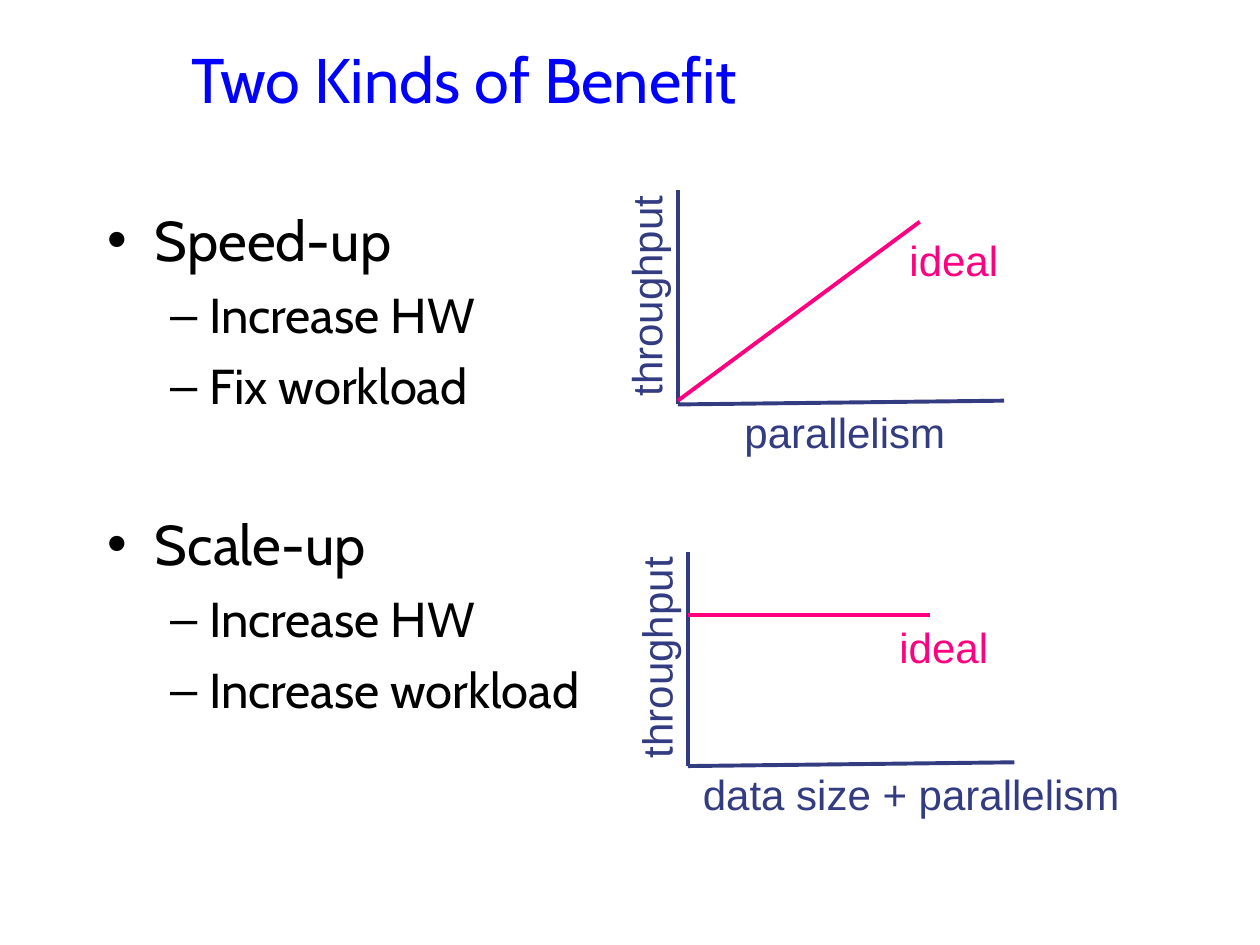
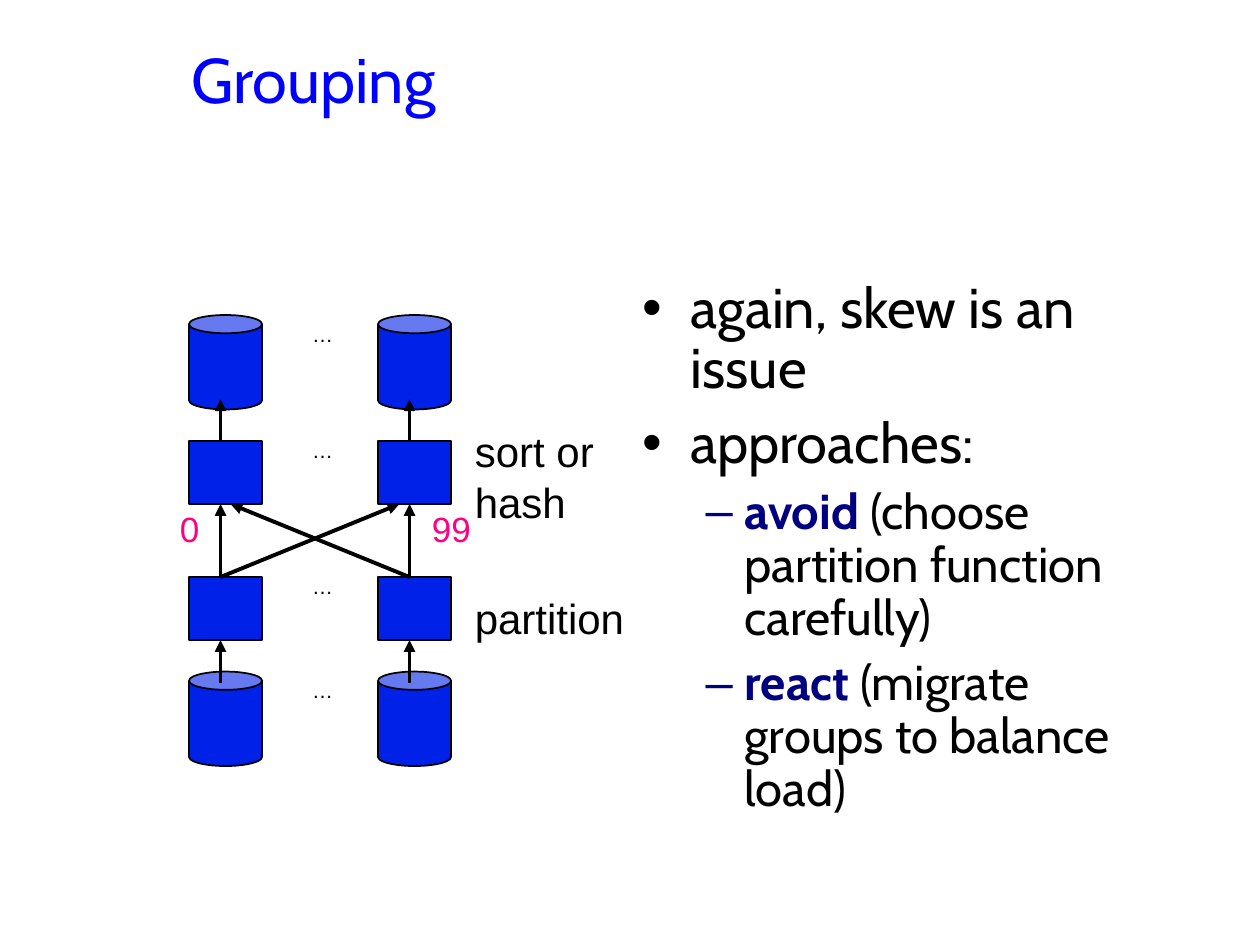
from dataclasses import dataclass
from itertools import product
from typing import NamedTuple

from lxml import etree
from pptx import Presentation
from pptx.dml.color import RGBColor
from pptx.enum.shapes import MSO_CONNECTOR, MSO_SHAPE
from pptx.enum.text import MSO_ANCHOR, MSO_AUTO_SIZE, PP_ALIGN
from pptx.oxml.ns import qn
from pptx.util import Inches, Pt

STRAIGHT = MSO_CONNECTOR.STRAIGHT
CAN, RECTANGLE = MSO_SHAPE.CAN, MSO_SHAPE.RECTANGLE
MIDDLE, TOP = MSO_ANCHOR.MIDDLE, MSO_ANCHOR.TOP
NO_FIT = MSO_AUTO_SIZE.NONE
LEFT = PP_ALIGN.LEFT


@dataclass(frozen=True)
class Theme:
    heading_font: str = "Cabin"
    label_font: str = "Arial"
    title: str = "0000FF"
    ink: str = "000000"
    emphasis: str = "000080"
    axis: str = "333C80"
    ideal: str = "FF0080"
    node: str = "0021E8"
    title_size: int = 36
    level_sizes: tuple[int, int] = (32, 28)
    label_size: int = 24
    key_size: int = 20
    dots_size: int = 12
    line_width: float = 2.25
    outline_width: float = 1


THEME = Theme()


class Point(NamedTuple):
    x: float
    y: float

    def shift(self, dx: float, dy: float) -> "Point":
        return Point(self.x + dx, self.y + dy)


class Box(NamedTuple):
    left: float
    top: float
    width: float
    height: float


class Bullet(NamedTuple):
    text: str
    level: int = 0
    lead: str = ""
    before: float | None = None


class LevelStyle(NamedTuple):
    mark: str
    margin: float
    hanging: float
    before: float


@dataclass(frozen=True)
class Graph:
    origin: Point
    x_label: str
    x_label_dx: float
    x_label_width: float
    ideal_start_dy: float
    ideal_end_dy: float
    ideal_label_offset: Point


class NodeRow(NamedTuple):
    kind: int
    top: float
    height: float
    dots_top: float


LEVELS = (LevelStyle("•", 0.38, 0.38, 8), LevelStyle("–", 0.81, 0.31, 7))
TITLE_BOX = Box(1.42, 0, 7.83, 1.25)

BENEFITS = (
    Bullet("Speed-up"),
    Bullet("Increase HW", 1),
    Bullet("Fix workload", 1),
    Bullet("Scale-up", before=54),
    Bullet("Increase HW", 1),
    Bullet("Increase workload", 1),
)
SKEW = (
    Bullet("again, skew is an issue"),
    Bullet("approaches:"),
    Bullet(" (choose partition function carefully)", 1, "avoid"),
    Bullet(" (migrate groups to balance load)", 1, "react"),
)
GRAPHS = (
    Graph(Point(5.38, 3.21), "parallelism", 0.43, 1.79, -0.03, -1.45, Point(1.74, -1.4)),
    Graph(Point(5.46, 6.08), "data size + parallelism", 0.02, 3.5, -1.2, -1.2, Point(1.58, -1.2)),
)

LANES = (1.5, 3)
LANE_WIDTH = 0.58
ARROW_INSET = 0.25
NODE_ROWS = (
    NodeRow(CAN, 5.33, 0.75, 5.33),
    NodeRow(RECTANGLE, 4.58, 0.5, 4.5),
    NodeRow(RECTANGLE, 3.5, 0.5, 3.42),
    NodeRow(CAN, 2.5, 0.75, 2.5),
)
UPWARD_STEPS = ((5.42, 5.08), (4.58, 4), (3.5, 3.17))
CROSSING_GAP = 0.08


def colour(value: str) -> RGBColor:
    return RGBColor.from_string(value)


def inches(box: Box) -> list[int]:
    return [Inches(length) for length in box]


def apply_format(target, values: dict) -> None:
    for attribute, value in values.items():
        setattr(target, attribute, value)


def add_run(paragraph, text: str, font: str, size: int, ink: str, bold: bool = False) -> None:
    run = paragraph.add_run()
    run.text = text
    apply_format(run.font, {"name": font, "size": Pt(size), "bold": bold})
    run.font.color.rgb = colour(ink)


def place(placeholder, box: Box, anchor) -> None:
    position = dict(zip(("left", "top", "width", "height"), inches(box)))
    apply_format(placeholder, position)
    apply_format(
        placeholder.text_frame,
        {"word_wrap": True, "auto_size": NO_FIT, "vertical_anchor": anchor},
    )


def set_bullet(paragraph, style: LevelStyle, ink: str) -> None:
    properties = paragraph._p.get_or_add_pPr()
    properties.set("marL", str(Inches(style.margin)))
    properties.set("indent", str(-Inches(style.hanging)))
    mark_colour = etree.SubElement(properties, qn("a:buClr"))
    etree.SubElement(mark_colour, qn("a:srgbClr"), val=ink)
    etree.SubElement(properties, qn("a:buFont"), typeface=THEME.label_font)
    etree.SubElement(properties, qn("a:buChar"), char=style.mark)


def fill_list(body, bullets: tuple[Bullet, ...], spacing: float) -> None:
    frame = body.text_frame
    for index, bullet in enumerate(bullets):
        paragraph = frame.add_paragraph() if index else frame.paragraphs[0]
        style = LEVELS[bullet.level]
        set_bullet(paragraph, style, THEME.emphasis if bullet.lead else THEME.ink)
        before = style.before if bullet.before is None else bullet.before
        apply_format(
            paragraph,
            {
                "level": bullet.level,
                "alignment": LEFT,
                "line_spacing": spacing,
                "space_before": Pt(before if index else 0),
                "space_after": Pt(0),
            },
        )
        size = THEME.level_sizes[bullet.level]
        if bullet.lead:
            add_run(paragraph, bullet.lead, THEME.heading_font, size, THEME.emphasis, True)
        add_run(paragraph, bullet.text, THEME.heading_font, size, THEME.ink)


def add_content_slide(
    deck, title: str, body_box: Box, bullets: tuple[Bullet, ...], spacing: float = 1.0
):
    slide = deck.slides.add_slide(deck.slide_layouts[1])
    heading, body = slide.placeholders
    place(heading, TITLE_BOX, MIDDLE)
    title_line = heading.text_frame.paragraphs[0]
    title_line.alignment = LEFT
    add_run(title_line, title, THEME.heading_font, THEME.title_size, THEME.title)
    place(body, body_box, TOP)
    fill_list(body, bullets, spacing)
    return slide


def add_label(shapes, text: str, box: Box, size: int, ink: str, rotation: float = 0) -> None:
    label = shapes.add_textbox(*inches(box))
    label.rotation = rotation
    apply_format(label.text_frame, {"word_wrap": True, "margin_right": Inches(0)})
    add_run(label.text_frame.paragraphs[0], text, THEME.label_font, size, ink)


def add_line(shapes, start: Point, end: Point, ink: str, arrow: bool = False) -> None:
    line = shapes.add_connector(STRAIGHT, *map(Inches, (*start, *end)))
    line.line.color.rgb = colour(ink)
    line.line.width = Pt(THEME.line_width)
    if arrow:
        etree.SubElement(line.line._get_or_add_ln(), qn("a:tailEnd"), type="triangle")
    etree.SubElement(line._element.spPr, qn("a:effectLst"))


def add_node(shapes, kind: int, box: Box) -> None:
    node = shapes.add_shape(kind, *inches(box))
    node.shadow.inherit = False
    node.fill.solid()
    node.fill.fore_color.rgb = colour(THEME.node)
    node.line.color.rgb = colour(THEME.ink)
    node.line.width = Pt(THEME.outline_width)


def draw_graph(slide, graph: Graph) -> None:
    shapes = slide.shapes.add_group_shape().shapes
    origin = graph.origin
    add_line(shapes, origin.shift(0, -1.7), origin, THEME.axis)
    add_line(shapes, origin, origin.shift(2.59, -0.03), THEME.axis)
    x_label_box = Box(*origin.shift(graph.x_label_dx, -0.03), graph.x_label_width, 0.5)
    add_label(shapes, graph.x_label, x_label_box, THEME.label_size, THEME.axis)
    y_label_box = Box(*origin.shift(-1.15, -1.11), 1.79, 0.5)
    add_label(shapes, "throughput", y_label_box, THEME.label_size, THEME.axis, rotation=270)
    ideal_start = origin.shift(0, graph.ideal_start_dy)
    add_line(shapes, ideal_start, origin.shift(1.92, graph.ideal_end_dy), THEME.ideal)
    ideal_box = Box(*origin.shift(*graph.ideal_label_offset), 0.9, 0.5)
    add_label(shapes, "ideal", ideal_box, THEME.label_size, THEME.ideal)


def draw_data_flow(slide) -> None:
    shapes = slide.shapes
    for row in NODE_ROWS:
        for lane in LANES:
            add_node(shapes, row.kind, Box(lane, row.top, LANE_WIDTH, row.height))
        dots_box = Box(2.38, row.dots_top, 0.36, 0.3)
        add_label(shapes, "…", dots_box, THEME.dots_size, THEME.ink)

    first, last = (lane + ARROW_INSET for lane in LANES)
    for (start, end), x in product(UPWARD_STEPS, (first, last)):
        add_line(shapes, Point(x, start), Point(x, end), THEME.ink, arrow=True)
    start, end = UPWARD_STEPS[1]
    for source, target in ((last, first + CROSSING_GAP), (first, last - CROSSING_GAP)):
        add_line(shapes, Point(source, start), Point(target, end), THEME.ink, arrow=True)

    for text, box, size, ink in (
        ("partition", Box(3.67, 4.65, 1.6, 0.5), THEME.label_size, THEME.ink),
        ("sort or hash", Box(3.67, 3.33, 1.33, 0.9), THEME.label_size, THEME.ink),
        ("0", Box(1.33, 3.98, 0.67, 0.44), THEME.key_size, THEME.ideal),
        ("99", Box(3.33, 3.98, 0.75, 0.44), THEME.key_size, THEME.ideal),
    ):
        add_label(shapes, text, box, size, ink)


def main() -> None:
    deck = Presentation()
    apply_format(deck, {"slide_width": Inches(10), "slide_height": Inches(7.5)})

    benefit = add_content_slide(
        deck, "Two Kinds of Benefit", Box(0.75, 1.58, 8.5, 5.58), BENEFITS
    )
    for graph in GRAPHS:
        draw_graph(benefit, graph)

    grouping = add_content_slide(deck, "Grouping", Box(5, 2.17, 4.25, 4.5), SKEW, 0.9)
    draw_data_flow(grouping)

    deck.save("out.pptx")


if __name__ == "__main__":
    main()
